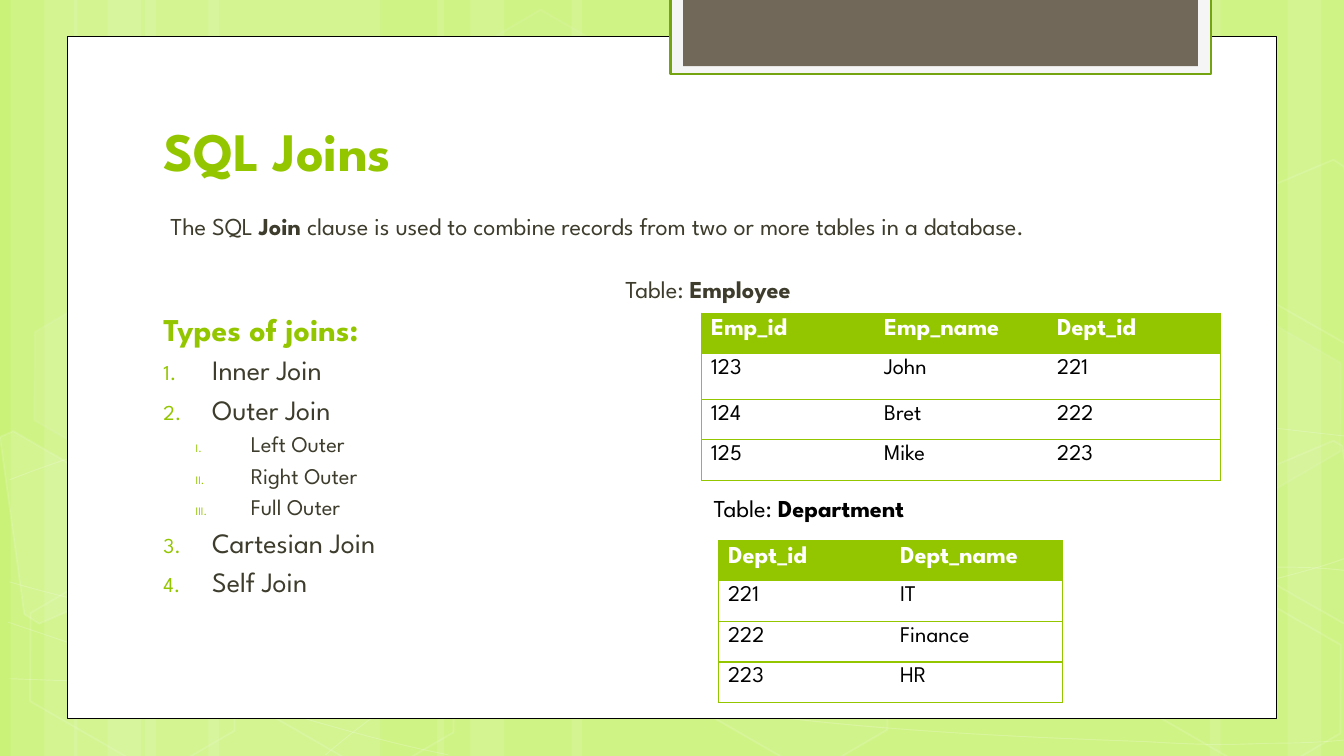
from dataclasses import dataclass
from typing import Any, NamedTuple, Optional

from lxml.etree import SubElement
from pptx import Presentation
from pptx.dml.color import RGBColor as Rgb
from pptx.enum.shapes import MSO_SHAPE as Preset
from pptx.enum.text import MSO_ANCHOR as Anchor, MSO_AUTO_SIZE as AutoSize, PP_ALIGN as Align
from pptx.oxml.ns import qn
from pptx.util import Cm, Pt


@dataclass(frozen=True)
class Theme:
    font: str = "League Spartan"
    lime: str = "94C600"
    pale_lime: str = "CAF278"
    dark_lime: str = "74A510"
    ink: str = "3E3D2D"
    black: str = "000000"
    white: str = "FFFFFF"
    smoke: str = "F5F5F5"
    taupe: str = "71685A"
    title: int = 29
    heading: int = 17
    item: int = 15
    text: int = 13
    small: int = 12


class Run(NamedTuple):
    text: str
    bold: bool = False


class Hexagon(NamedTuple):
    left: float
    top: float
    fill_alpha: Optional[int]
    line_alpha: int


class Shard(NamedTuple):
    points: list
    fill_alpha: Optional[int]


class Line(NamedTuple):
    runs: list
    size: int
    color: str
    indent: float = 0
    hanging: float = 0
    before: Optional[float] = None
    numbering: Optional[str] = None
    number_size: int = 76
    level: int = 0


class Grid(NamedTuple):
    left: float
    top: float
    column: float
    heights: list
    rows: list


theme = Theme()
INSETS = dict(margin_left=Cm(0.18), margin_right=Cm(0.18), margin_top=Cm(0.1), margin_bottom=Cm(0.1))

deck = Presentation()
deck.slide_width, deck.slide_height = Cm(25.4), Cm(14.29)
slide = deck.slides.add_slide(deck.slide_layouts[5])
shapes = slide.shapes
slide.background.fill.solid()
slide.background.fill.fore_color.rgb = Rgb.from_string(theme.pale_lime)


def apply(target: Any, formats: dict) -> None:
    for key, value in formats.items():
        setattr(target, key, value)


def paint(fill: Any, color: Optional[str], alpha: Optional[int] = None) -> None:
    if color is None:
        fill.background()
        return
    fill.solid()
    fill.fore_color.rgb = Rgb.from_string(color)
    if alpha is not None:
        tint = fill._xPr.find(qn("a:solidFill"))[0]
        SubElement(tint, qn("a:alpha"), val=str(alpha * 1000))


def style(shape: Any, fill: Optional[str], fill_alpha: Optional[int] = None, line: Optional[str] = None,
          width: float = 1, line_alpha: Optional[int] = None) -> None:
    shape.shadow.inherit = False
    paint(shape.fill, fill, fill_alpha)
    paint(shape.line.fill, line, line_alpha)
    if line:
        shape.line.width = Pt(width)


def box(preset: Preset, left: float, top: float, width: float, height: float) -> Any:
    return shapes.add_shape(preset, Cm(left), Cm(top), Cm(width), Cm(height))


def outline(points: list, close: bool) -> Any:
    spots = [(Cm(x), Cm(y)) for x, y in points]
    builder = shapes.build_freeform(*spots[0])
    builder.add_line_segments(spots[1:], close=close)
    return builder.convert_to_shape()


def curve(knots: list) -> Any:
    shape = outline(knots, False)
    segments = list(shape._element.iter(qn("a:lnTo")))
    for start in range(0, len(segments), 3):
        bend = SubElement(segments[start].getparent(), qn("a:cubicBezTo"))
        for segment in segments[start:start + 3]:
            bend.append(segment[0])
            segment.getparent().remove(segment)
    return shape


def write(paragraph: Any, runs: list, size: int, color: str) -> None:
    for text, bold in runs:
        run = paragraph.add_run()
        run.text = text
        apply(run.font, dict(name=theme.font, size=Pt(size), bold=bold))
        run.font.color.rgb = Rgb.from_string(color)


def write_line(paragraph: Any, line: Line) -> None:
    before = line.size * 0.2 if line.before is None else line.before
    apply(paragraph, dict(level=line.level, space_before=Pt(before), alignment=Align.LEFT))
    props = paragraph._p.get_or_add_pPr()
    props.set("marL", str(Cm(line.indent)))
    props.set("indent", str(Cm(-line.hanging)))
    if line.numbering:
        SubElement(SubElement(props, qn("a:buClr")), qn("a:srgbClr"), val=theme.lime)
        SubElement(props, qn("a:buSzPct"), val=str(line.number_size * 1000))
        SubElement(props, qn("a:buFont"), typeface=theme.font)
        SubElement(props, qn("a:buAutoNum"), type=line.numbering)
    write(paragraph, line.runs, line.size, line.color)


def text_box(left: float, top: float, width: float, height: float, lines: list) -> None:
    frame = shapes.add_textbox(Cm(left), Cm(top), Cm(width), Cm(height)).text_frame
    apply(frame, dict(INSETS, word_wrap=True))
    for index, line in enumerate(lines):
        write_line(frame.add_paragraph() if index else frame.paragraphs[0], line)


def border(cell: Any, sides: dict) -> None:
    props = cell._tc.get_or_add_tcPr()
    for index, (side, drawn) in enumerate(sides.items()):
        edge = props.makeelement(qn(f"a:{side}"), {"w": str(Pt(0.75))})
        if drawn:
            SubElement(SubElement(edge, qn("a:solidFill")), qn("a:srgbClr"), val=theme.lime)
        else:
            SubElement(edge, qn("a:noFill"))
        props.insert(index, edge)


def draw_grid(grid: Grid) -> None:
    count, last = len(grid.rows), len(grid.rows[0]) - 1
    table = shapes.add_table(count, last + 1, Cm(grid.left), Cm(grid.top),
                             Cm(grid.column * (last + 1)), Cm(sum(grid.heights))).table
    for column in table.columns:
        column.width = Cm(grid.column)
    for r, values in enumerate(grid.rows):
        table.rows[r].height = Cm(grid.heights[r])
        header = r == 0
        for c, value in enumerate(values):
            cell = table.cell(r, c)
            apply(cell, dict(INSETS, vertical_anchor=Anchor.TOP))
            paint(cell.fill, theme.lime if header else None)
            write(cell.text_frame.paragraphs[0], [Run(value, header)],
                  theme.text if header else theme.small, theme.white if header else theme.black)
            border(cell, dict(lnL=c == 0, lnR=c == last, lnT=True, lnB=True))


STRIPES = [(2.74, 4.45), (0.2, 1.27), (0.84, 2.11), (3.94, 4.45), (1.4, 1.27), (2.03, 2.11),
           (18.62, 4.45), (24.33, 1.27), (22.86, 2.11), (10.8, 7.82), (8.26, 1.27), (8.89, 2.11)]
WAVES = [
    [(0.18, 12.83), (1.55, 12.88), (2.92, 12.93), (4.83, 12.9), (6.73, 12.88), (9.09, 12.85), (11.63, 12.67),
     (14.17, 12.47), (17.78, 12.12), (20.12, 11.76), (22.43, 11.38), (24.82, 10.82), (25.58, 10.49)],
    [(0.18, 9.07), (0.91, 8.79), (1.65, 8.51), (3.07, 8.2), (4.52, 7.92), (6.58, 7.52), (8.81, 7.37),
     (11.07, 7.24), (13.82, 7.21), (16.61, 7.37), (19.41, 7.52), (24.05, 8.1), (25.58, 8.26)],
    [(0.15, 11.76), (3.23, 12.8), (6.27, 13.84), (8.48, 14.27)],
    [(0.18, 11), (0.97, 11.23), (1.78, 11.43), (3.25, 11.73), (4.72, 12.04), (6.93, 12.5), (9.07, 12.83),
     (11.18, 13.13), (13.84, 13.49), (15.95, 13.69), (18.06, 13.89), (20.32, 13.97), (21.67, 14.02),
     (22.99, 14.1), (23.34, 14.07), (24, 14.05), (24.66, 14.05), (25.12, 14.02), (25.58, 13.97)],
    [(6.15, 14.27), (6.6, 13.89), (7.06, 13.51), (7.67, 13.16), (8.28, 12.8), (9.14, 12.42), (9.86, 12.17),
     (10.57, 11.91), (11, 11.79), (11.94, 11.61), (12.85, 11.4), (14.55, 11.13), (15.44, 11),
     (16.36, 10.87), (16.48, 10.9), (17.27, 10.85), (18.06, 10.8), (19.3, 10.74), (20.17, 10.72),
     (21.64, 10.69), (23.11, 10.7), (24.21, 10.72), (24.66, 10.72), (25.1, 10.74), (25.55, 10.8)],
]
HEXAGONS = [Hexagon(8.48, 0.69, 4, 8), Hexagon(12.62, 11.23, 6, 12), Hexagon(0.28, 11.25, None, 12),
            Hexagon(0.36, 5.94, 7, 8), Hexagon(4.42, 11.28, None, 12), Hexagon(21.18, 11.3, None, 12),
            Hexagon(21.18, 5.97, 7, 8)]
SHARDS = [
    Shard([(0, 8.26), (0.25, 8.15), (2.18, 9.27), (2.41, 11.07), (0.74, 11.79), (0.46, 11.61)], 10),
    Shard([(23.52, 9.04), (25.2, 8.33), (25.37, 8.43), (25.86, 11.89), (25.7, 11.96), (23.75, 10.85)], 4),
    Shard([(23.52, 3.73), (25.2, 3.02), (25.4, 3.15), (25.86, 6.6), (25.7, 6.65), (23.75, 5.54)], None),
]

for left, width in STRIPES:
    style(box(Preset.RECTANGLE, left, 0, width, 14.29), theme.white, 10)
for wave in WAVES:
    style(curve(wave), None, None, theme.white, 0.5, 20)
for left, top, fill_alpha, line_alpha in HEXAGONS:
    hexagon = box(Preset.HEXAGON, left, top, 4.45, 2.9)
    hexagon.rotation = 30
    hexagon.adjustments[0] = 0.285
    style(hexagon, theme.white if fill_alpha else None, fill_alpha, theme.white, 1, line_alpha)
for points, fill_alpha in SHARDS:
    style(outline(points, True), theme.white if fill_alpha else None, fill_alpha, theme.white, 1, 12)
style(box(Preset.RECTANGLE, 1.27, 0.69, 22.86, 12.89), theme.white, None, theme.black, 0.5)
style(box(Preset.RECTANGLE, 12.67, -0.05, 10.22, 1.45), theme.smoke, None, theme.dark_lime, 1.25)
style(box(Preset.RECTANGLE, 12.91, -0.05, 9.73, 1.3), theme.taupe)

title = shapes.title
apply(title, dict(left=Cm(2.91), top=Cm(2.13), width=Cm(19.51), height=Cm(1.42)))
apply(title.text_frame, dict(INSETS, vertical_anchor=Anchor.BOTTOM, word_wrap=True, auto_size=AutoSize.NONE))
title.text_frame.paragraphs[0].alignment = Align.LEFT
write(title.text_frame.paragraphs[0], [Run("SQL Joins", True)], theme.title, theme.lime)
title._element.getparent().append(title._element)


def join(name: str) -> Line:
    return Line([Run(name)], theme.item, theme.ink, 0.92, 0.92, None, "arabicPeriod")


def outer(name: str) -> Line:
    return Line([Run(name)], theme.small, theme.ink, 1.65, 1.04, None, "romanUcPeriod", 51, 1)


text_box(2.91, 3.89, 20.42, 9.5, [
    Line([Run("The SQL\u00a0"), Run("Join ", True),
          Run("clause is used to combine records from two or more tables in a database.")],
         theme.text, theme.ink, 0.13),
    Line([Run("Table: "), Run("Employee", True)], theme.text, theme.ink, 8.73, 0, 18),
    Line([Run("Types of joins:", True)], theme.heading, theme.lime),
    *map(join, ("Inner Join", "Outer Join")),
    *map(outer, ("Left Outer", "Right Outer", "Full Outer")),
    *map(join, ("Cartesian Join", "Self Join")),
])
draw_grid(Grid(13.26, 5.92, 3.27, [0.76, 0.87, 0.76, 0.77],
               [("Emp_id", "Emp_name", "Dept_id"), ("123", "John", "221"), ("124", "Bret", "222"),
                ("125", "Mike", "223")]))
draw_grid(Grid(13.58, 10.22, 3.25, [0.75, 0.77, 0.77, 0.77],
               [("Dept_id", "Dept_name"), ("221", "IT"), ("222", "Finance"), ("223", "HR")]))
text_box(13.31, 9.22, 4.75, 0.74,
         [Line([Run("Table: "), Run("Department", True)], theme.text, theme.black, before=0)])

deck.save("out.pptx")
